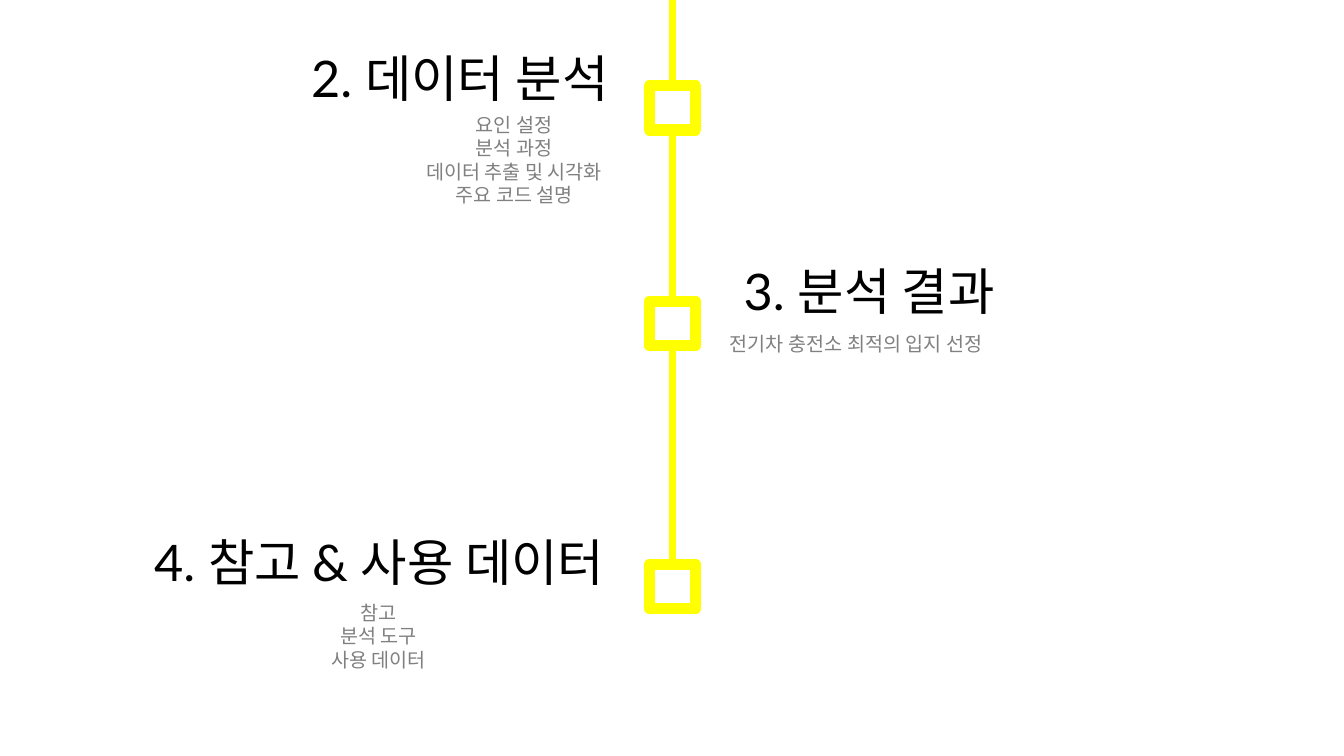
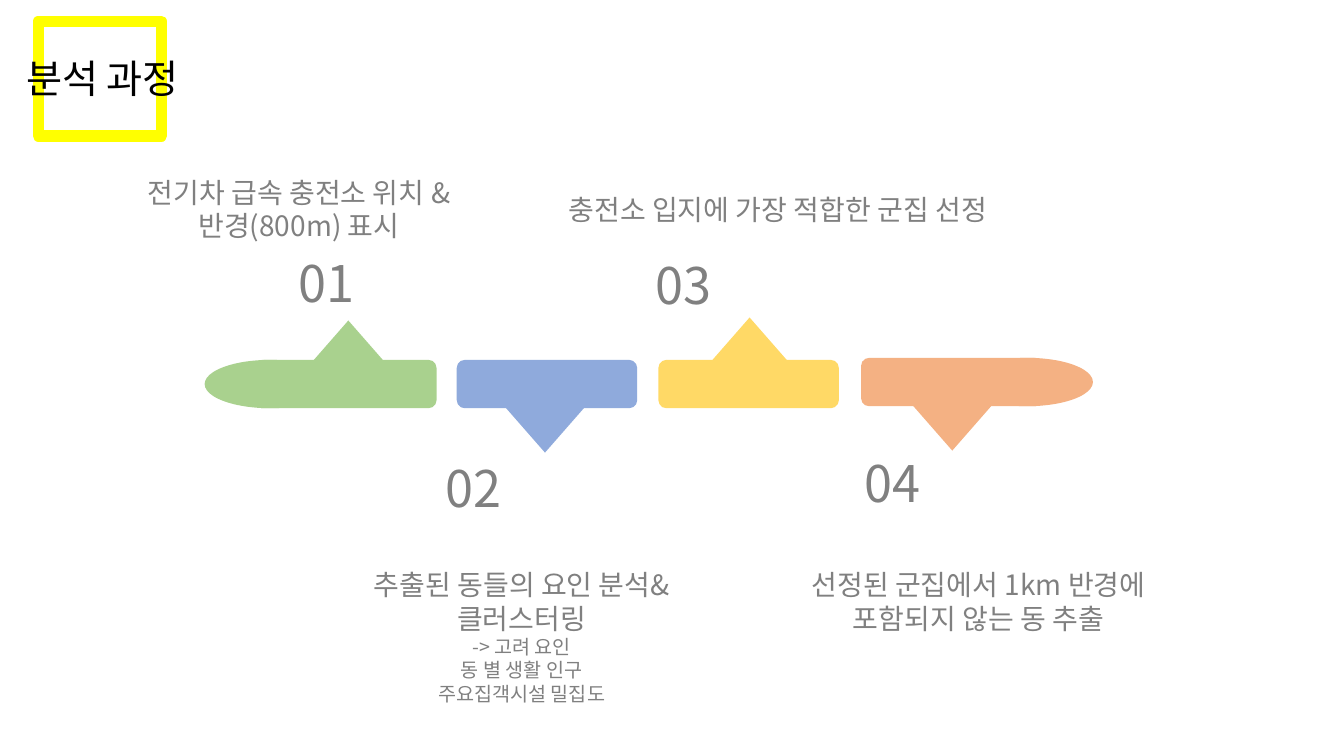
from pptx import Presentation
from pptx import util as u
from pptx.dml.color import RGBColor
from pptx.enum import shapes, text
from pptx.oxml.ns import qn
from lxml import etree

PX = 9144  # 100 px to the inch
WIDE, HIGH = 1333, 750
YELLOW, WHITE, BLACK, GRAY = "FFFF00", "FFFFFF", "000000", "808080"
LATO, ARIAL, NOTO = "Lato", "Arial", "Noto Sans CJK KR"
KIND = shapes.MSO_SHAPE
MID, LEFT = text.PP_ALIGN.CENTER, text.PP_ALIGN.LEFT

# Agenda: heading, its box, detail lines, their box, alignment, marker top
AGENDA = [
    ("2. 데이터 분석", (282, 42, 348, 71),
     ["요인 설정", "분석 과정", "데이터 추출 및 시각화", "주요 코드 설명"],
     (404, 107, 212, 104), MID, 85),
    ("3. 분석 결과", (713, 253, 298, 71),
     ["전기차 충전소 최적의 입지 선정"], (714, 324, 295, 34), LEFT, 299),
    ("4. 참고 & 사용 데이터", (120, 522, 512, 71),
     ["참고", "분석 도구", "사용 데이터"], (314, 591, 123, 81), MID, 560),
]
AXIS, MARK = 667, (46, 44)

# Process: colour, bar (left, top, width), pointer (left, top), number (left, top)
STEPS = [
    ("A9D18E", (252, 357, 181), (307, 318), (286, 245)),
    ("8FAADC", (453, 357, 179), (502, 405), (432, 449)),
    ("FFD966", (653, 357, 179), (705, 315), (640, 247)),
    ("F4B183", (854, 355, 181), (906, 403), (848, 444)),
]
BAR, POINT, NUMBER = 48, (77, 44), (103, 71)
CAPS = {0: 203, 3: 954}  # rounded ends of the first and last bar
CAP = 130

# Captions: main line, small lines, box, alignment
NOTES = [
    ("전기차 급속 충전소 위치 & 반경(800m) 표시", [], (128, 169, 337, 77), MID),
    ("추출된 동들의 요인 분석& 클러스터링",
     ["-> 고려 요인", "동 별 생활 인구", "주요집객시설 밀집도"],
     (349, 558, 337, 148), MID),
    ("충전소 입지에 가장 적합한 군집 선정", [], (554, 186, 494, 44), LEFT),
    ("선정된 군집에서 1km 반경에 포함되지 않는 동 추출", [],
     (776, 558, 389, 77), MID),
]


def px(*vals):
    return [u.Emu(v * PX) for v in vals]


def rgb(code):
    return RGBColor.from_string(code)


def draw(slide, kind, box, fill, edge=None, turn=0):
    shape = slide.shapes.add_shape(kind, *px(*box))
    shape.shadow.inherit = False
    shape.rotation = turn
    shape.fill.solid()
    shape.fill.fore_color.rgb = rgb(fill)
    if edge:
        shape.line.color.rgb = rgb(edge)
        shape.line.width = u.Pt(8)
    else:
        shape.line.fill.background()


def frame(slide, box):
    draw(slide, KIND.RECTANGLE, box, WHITE, YELLOW)


def write(slide, box, lines, face, color=GRAY, align=MID, wrap=False):
    """Place (text, size) lines in one text box."""
    area = slide.shapes.add_textbox(*px(*box)).text_frame
    area.word_wrap = wrap
    area.auto_size = text.MSO_AUTO_SIZE.SHAPE_TO_FIT_TEXT
    for i, (words, size) in enumerate(lines):
        para = area.add_paragraph() if i else area.paragraphs[0]
        para.alignment = align
        run = para.add_run()
        run.text = words
        style = {"name": face, "size": u.Pt(size)}
        for key, val in style.items():
            setattr(run.font, key, val)
        run.font.color.rgb = rgb(color)
        east = etree.SubElement(run.font._element, qn("a:ea"))
        east.set("typeface", NOTO)


def agenda(slide):
    # Timeline and its markers
    ends = px(AXIS, 0, AXIS, AGENDA[-1][-1])
    line = slide.shapes.add_connector(shapes.MSO_CONNECTOR.STRAIGHT, *ends)
    line.line.color.rgb = rgb(YELLOW)
    line.line.width = u.Pt(4.5)
    etree.SubElement(line._element.spPr, qn("a:effectLst"))
    for head, spot, items, area, align, top in AGENDA:
        frame(slide, (AXIS - MARK[0] // 2, top, *MARK))
        write(slide, spot, [(head, 36)], LATO, BLACK)
        write(slide, area, [(item, 14) for item in items], LATO, align=align)


def process(slide):
    # Title
    frame(slide, (38, 21, 122, 114))
    write(slide, (16, 49, 184, 57), [("분석 과정", 28)], ARIAL, BLACK, LEFT)
    # Bars, pointers and numbers
    for i, (color, bar, point, spot) in enumerate(STEPS):
        draw(slide, KIND.ROUNDED_RECTANGLE, (*bar, BAR), color)
        if i in CAPS:
            draw(slide, KIND.OVAL, (CAPS[i], bar[1], CAP, BAR), color)
        draw(slide, KIND.ISOSCELES_TRIANGLE, (*point, *POINT), color,
             turn=180 * (i % 2))
        write(slide, (*spot, *NUMBER), [(f"{i + 1:02}", 36)], NOTO,
              align=LEFT, wrap=True)
    # Captions
    for main_line, small, box, align in NOTES:
        lines = [(main_line, 20)] + [(item, 14) for item in small]
        write(slide, box, lines, NOTO, align=align, wrap=True)


def main():
    deck = Presentation()
    deck.slide_width, deck.slide_height = px(WIDE, HIGH)
    for build in (agenda, process):
        build(deck.slides.add_slide(deck.slide_layouts[6]))
    deck.save("out.pptx")


if __name__ == "__main__":
    main()
